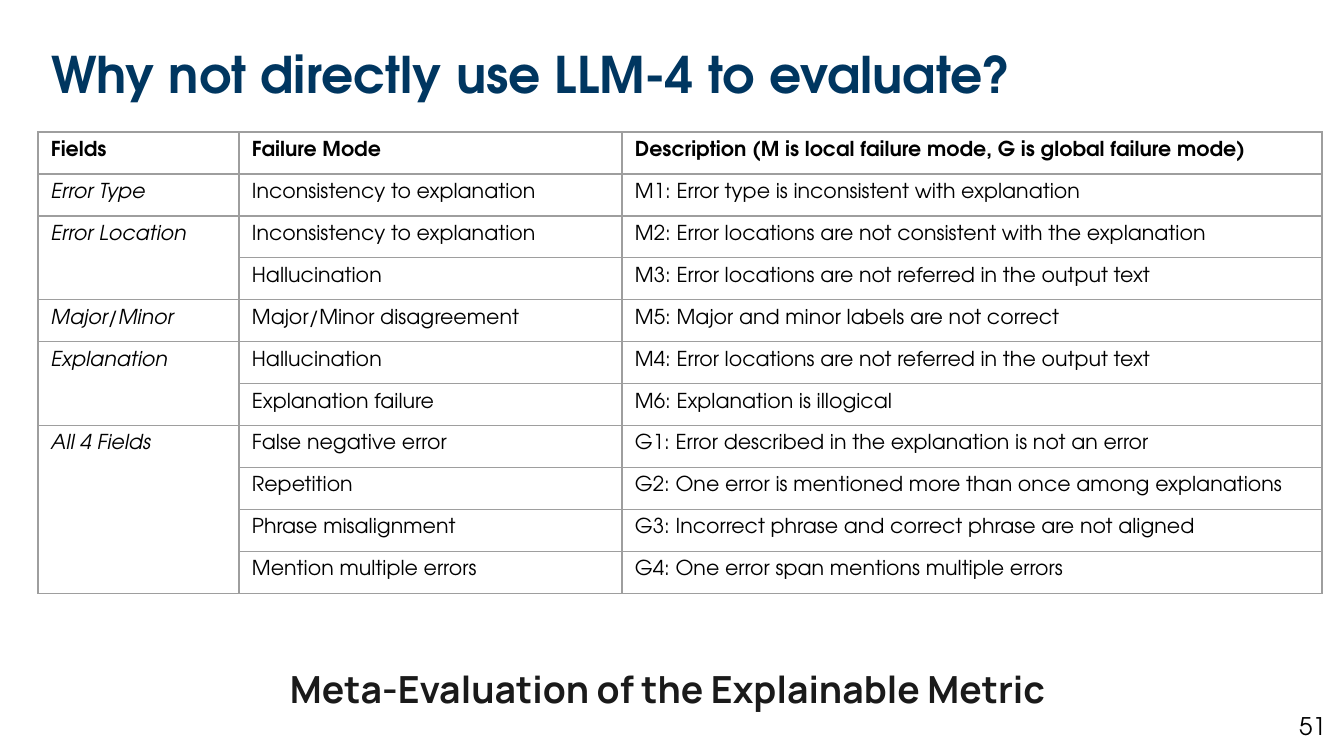
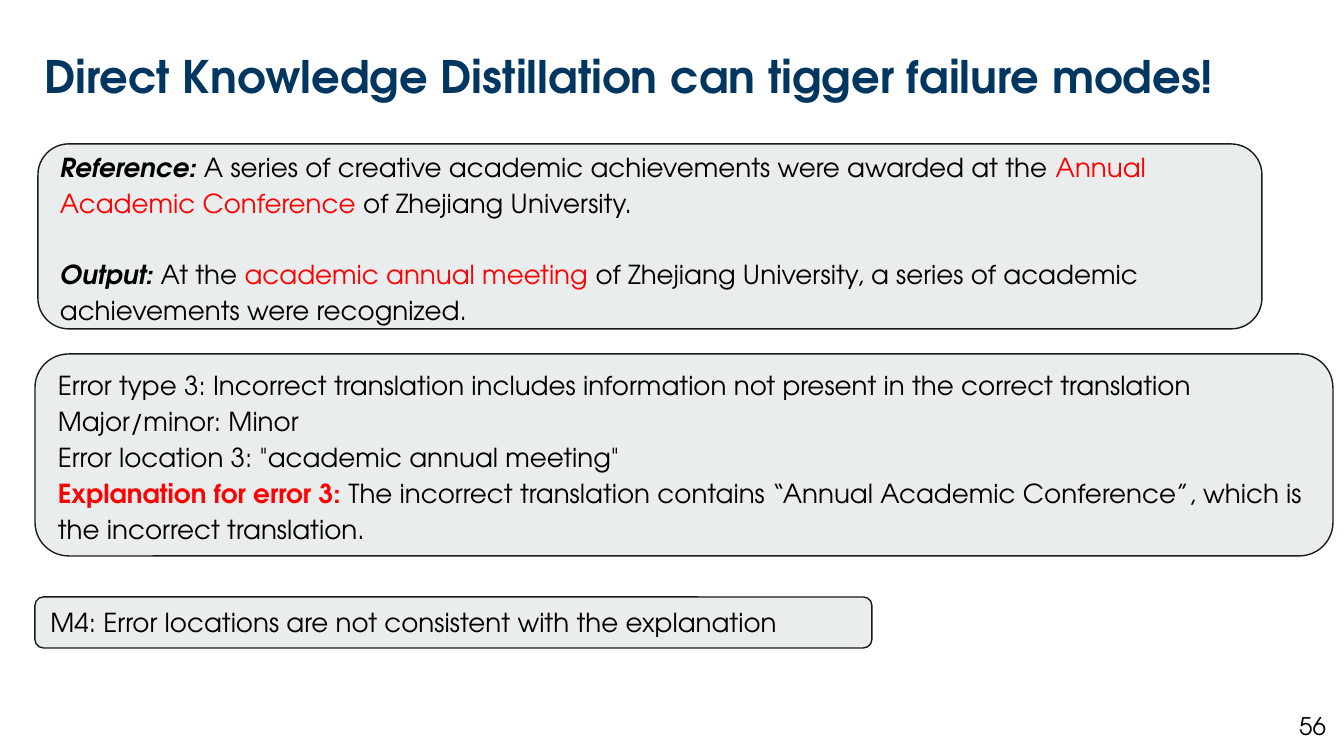
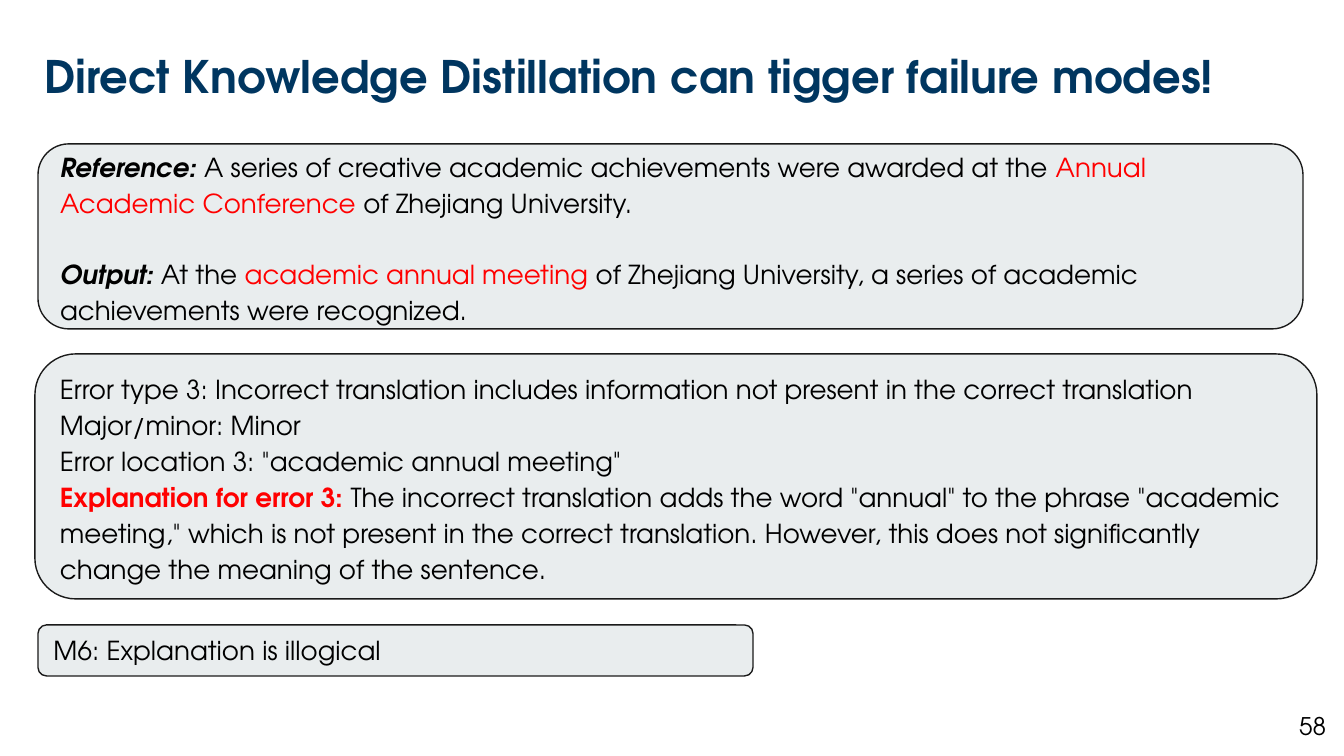
from lxml import etree
from pptx import Presentation
from pptx import util as u
from pptx.dml.color import RGBColor
from pptx.enum import shapes, text
from pptx.oxml.ns import qn

PX = 9144000 / 1344  # EMU per pixel
NAVY = RGBColor(0x00, 0x36, 0x60)
BLACK = RGBColor(0x00, 0x00, 0x00)
INK = RGBColor(0x1A, 0x1A, 0x1A)
RED = RGBColor(0xFF, 0x00, 0x00)
PANEL = RGBColor(0xE9, 0xED, 0xEE)
GRID = RGBColor(0x9E, 0x9E, 0x9E)
FONT = "TeX Gyre Adventor"
PLAIN, LABEL, MARKED, ALERT = "", "bold italic", "red", "bold red"


def px(*lengths):
    return [u.Emu(round(n * PX)) for n in lengths]


def write(tf, paragraphs, size, color=BLACK, font=FONT, bold=False, spacing=1.0,
          align=text.PP_ALIGN.LEFT, gap=0, inset=13):
    """Fill a text frame; each paragraph is a list of (text, style) runs."""
    tf.word_wrap = True
    tf.auto_size = text.MSO_AUTO_SIZE.NONE
    tf.margin_left, tf.margin_right, tf.margin_top, tf.margin_bottom = px(13, 13, inset, inset)
    for i, runs in enumerate(paragraphs):
        p = tf.add_paragraph() if i else tf.paragraphs[0]
        p.alignment, p.line_spacing = align, spacing
        p.space_before = u.Pt(gap if i else 0)
        p.font.name, p.font.size, p.font.bold = font, u.Pt(size), bold
        p.font.color.rgb = color
        for words, style in runs:
            r = p.add_run()
            r.text = words
            if "bold" in style:
                r.font.bold = True
            if "italic" in style:
                r.font.italic = True
            if "red" in style:
                r.font.color.rgb = RED


prs = Presentation()
prs.slide_width, prs.slide_height = px(1344, 756)

# Slides with their titles and page numbers
DISTILLATION = "Direct Knowledge Distillation can tigger failure modes!"
slides = []
for title, size, box, number in [
    ("Why not directly use LLM-4 to evaluate?", 27, (38, 43, 1224, 63), "51"),
    (DISTILLATION, 24, (31, 48, 1224, 51), "56"),
    (DISTILLATION, 24, (31, 48, 1224, 51), "58"),
]:
    s = prs.slides.add_slide(prs.slide_layouts[5])
    sp = s.shapes.title
    sp.left, sp.top, sp.width, sp.height = px(*box)
    sp.text_frame.vertical_anchor = text.MSO_ANCHOR.TOP
    write(sp.text_frame, [[(title, PLAIN)]], size, NAVY, bold=True, spacing=0.9, inset=7)
    sp = s.shapes.add_textbox(*px(1258, 698, 81, 58))
    write(sp.text_frame, [[(number, PLAIN)]], 13, align=text.PP_ALIGN.RIGHT)
    slides.append(s)

# Failure mode table; an empty field continues the one above
ROWS = [
    ("Fields", "Failure Mode", "Description (M is local failure mode, G is global failure mode)"),
    ("Error Type", "Inconsistency to explanation", "M1: Error type is inconsistent with explanation"),
    ("Error Location", "Inconsistency to explanation",
     "M2: Error locations are not consistent with the explanation"),
    ("", "Hallucination", "M3: Error locations are not referred in the output text"),
    ("Major/Minor", "Major/Minor disagreement", "M5: Major and minor labels are not correct"),
    ("Explanation", "Hallucination", "M4: Error locations are not referred in the output text"),
    ("", "Explanation failure", "M6: Explanation is illogical"),
    ("All 4 Fields", "False negative error", "G1: Error described in the explanation is not an error"),
    ("", "Repetition", "G2: One error is mentioned more than once among explanations"),
    ("", "Phrase misalignment", "G3: Incorrect phrase and correct phrase are not aligned"),
    ("", "Mention multiple errors", "G4: One error span mentions multiple errors"),
]
COLUMNS, ROW_HEIGHT = (201, 383, 700), 42
table = slides[0].shapes.add_table(
    len(ROWS), len(COLUMNS), *px(38, 132, sum(COLUMNS), ROW_HEIGHT * len(ROWS))).table
table.first_row = table.horz_banding = False
for column, width in zip(table.columns, px(*COLUMNS)):
    column.width = width
for i, row in enumerate(ROWS):
    table.rows[i].height = px(ROW_HEIGHT)[0]
    for j, words in enumerate(row):
        cell = table.cell(i, j)
        cell.margin_left, cell.margin_right, cell.margin_top, cell.margin_bottom = px(13, 13, 9, 9)
        for side in ("lnL", "lnR", "lnT", "lnB"):
            line = etree.SubElement(cell._tc.get_or_add_tcPr(), qn(f"a:{side}"), w=str(u.Pt(0.75)))
            fill = etree.SubElement(line, qn("a:solidFill"))
            etree.SubElement(fill, qn("a:srgbClr"), val=str(GRID))
        cell.fill.background()
        p = cell.text_frame.paragraphs[0]
        p.font.name, p.font.size, p.font.color.rgb = FONT, u.Pt(11), BLACK
        p.font.bold, p.font.italic = i == 0, i > 0 and j == 0
        if words:
            p.add_run().text = words

# Merge each field with the empty cells under it
starts = [i for i, row in enumerate(ROWS) if row[0]] + [len(ROWS)]
for start, end in zip(starts, starts[1:]):
    if end - start > 1:
        table.cell(start, 0).merge(table.cell(end - 1, 0))

# Caption under the table
sp = slides[0].shapes.add_textbox(*px(277, 650, 1224, 51))
write(sp.text_frame, [[("Meta-Evaluation of the Explainable Metric", PLAIN)]], 20, INK,
      font="Manrope", bold=True, spacing=1.2, inset=7)

# Panels of the two distillation examples
SENTENCES = [
    [("Reference: ", LABEL),
     ("A series of creative academic achievements were awarded at the ", PLAIN),
     ("Annual Academic Conference", MARKED), (" of Zhejiang University.", PLAIN)],
    [("Output: ", LABEL), ("At the ", PLAIN), ("academic annual meeting", MARKED),
     (" of Zhejiang University, a series of academic achievements were recognized.", PLAIN)],
]
ERROR = [
    [("Error type 3: Incorrect translation includes information not present in the "
      "correct translation", PLAIN)],
    [("Major/minor: Minor", PLAIN)],
    [('Error location 3: "academic annual meeting"', PLAIN)],
]
CONTRADICTION = [
    ("Explanation for error 3:", ALERT),
    (" The incorrect translation contains “Annual Academic Conference”, which is the "
     "incorrect translation.", PLAIN)]
ILLOGICAL = [
    ("Explanation for error 3: ", ALERT),
    ('The incorrect translation adds the word "annual" to the phrase "academic meeting," '
     "which is not present in the correct translation. However, this does not "
     "significantly change the meaning of the sentence.", PLAIN)]
M4 = [[("M4: Error locations are not consistent with the explanation", PLAIN)]]
M6 = [[("M6: Explanation is illogical", PLAIN)]]

for s, box, paragraphs, spacing, gap, inset in [
    (slides[1], (38, 144, 1224, 185), SENTENCES, 1.15, 19, 13),
    (slides[1], (35, 354, 1298, 202), ERROR + [CONTRADICTION], 1.15, 0, 13),
    (slides[1], (35, 597, 837, 51), M4, 1.0, 0, 0),
    (slides[2], (38, 144, 1265, 185), SENTENCES, 1.15, 19, 13),
    (slides[2], (35, 354, 1282, 245), ERROR + [ILLOGICAL], 1.15, 0, 13),
    (slides[2], (38, 625, 715, 51), M6, 1.0, 0, 0),
]:
    sp = s.shapes.add_shape(shapes.MSO_SHAPE.ROUNDED_RECTANGLE, *px(*box))
    sp.shadow.inherit = False
    sp.fill.solid()
    sp.fill.fore_color.rgb = PANEL
    sp.line.color.rgb, sp.line.width = INK, u.Pt(0.75)
    sp.text_frame.vertical_anchor = text.MSO_ANCHOR.MIDDLE
    write(sp.text_frame, paragraphs, 14, spacing=spacing, gap=gap, inset=inset)

prs.save("out.pptx")
